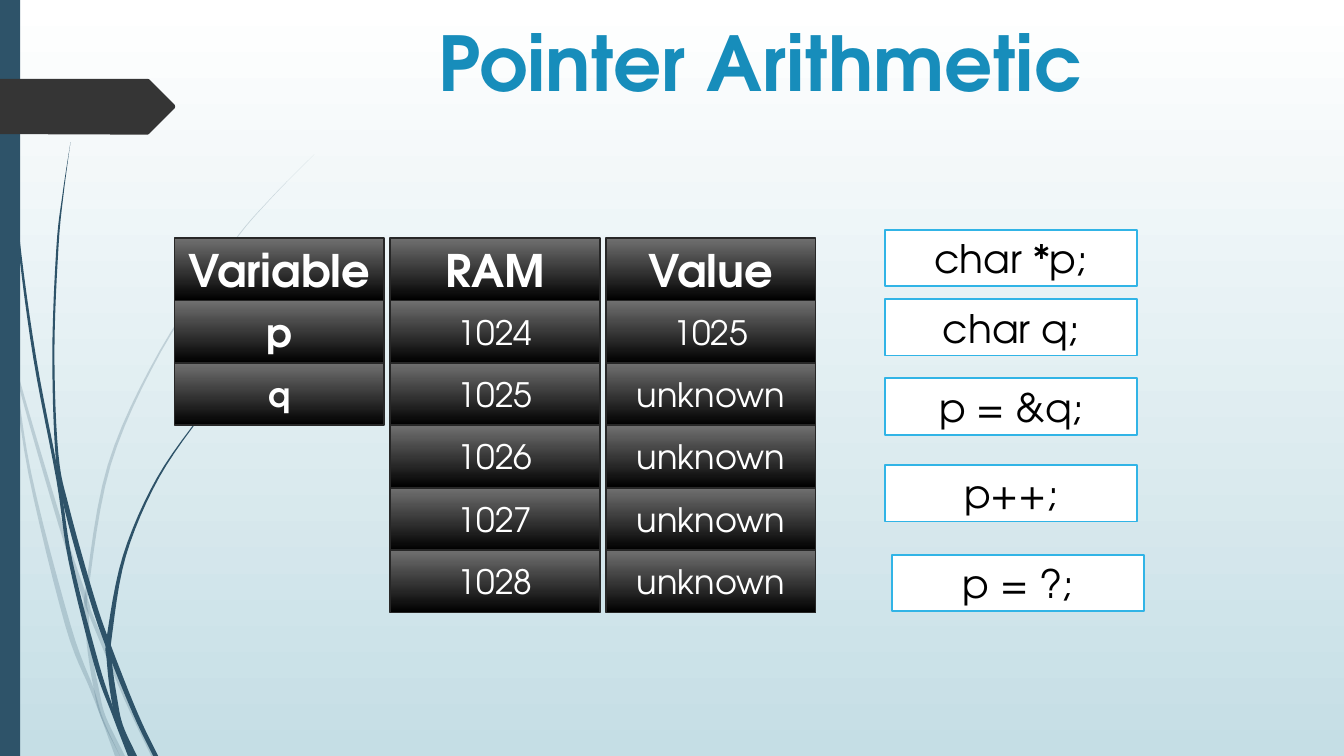
from pptx import Presentation
from pptx.dml.color import RGBColor
from pptx.enum.shapes import MSO_SHAPE as Preset
from pptx.enum.text import MSO_ANCHOR as Anchor, PP_ALIGN as Align
from pptx.oxml.xmlchemy import OxmlElement
from pptx.util import Pt

FONT = "TeX Gyre Adventor"
COLORS = {
    "white": "FFFFFF", "mist": "C5DEE5", "navy": "2E5369", "arrow": "353535",
    "title": "178DBB", "cell_top": "707070", "black": "000000",
    "cell_line": "272727", "code_line": "31B4E6",
}
# y, left x, right x
PALE_STRANDS = [
    [(203, 0, 0), (215, 0, 3.2), (232, 4.3, 6.5), (252, 7.9, 9.4),
     (338, 20.2, 22.3), (446.5, 46.5, 50.4), (492, 64.2, 67),
     (514, 72.7, 73.8), (540, 82.1, 85.7)],
    [(248.4, 10, 10), (271, 12.2, 14), (375, 41.8, 44.9), (430, 60.1, 63.4),
     (439, 63.4, 66.2), (499, 88.6, 91.8), (540, 108, 111.6)],
    [(110.2, 224.6, 224.6), (142, 193, 193.5), (176, 164.2, 165),
     (251, 113.8, 115.2), (332, 77, 79.2), (420, 61.2, 63.4),
     (439, 60.5, 63.4), (465, 62.6, 65.5), (492, 67, 70.6),
     (512, 72, 75.6), (540, 85.7, 89.3)],
]
DARK_STRANDS = [
    [(0, 2.2, 2.9), (35, 2.9, 3.6), (79, 5, 5.8), (168, 12.2, 13.7),
     (256, 23.8, 25.9), (343, 40.3, 42.6), (401, 49, 51.8),
     (474, 67, 70.6), (510, 79.9, 82.5), (540, 91.4, 94.3)],
    [(101.5, 50.4, 50.4), (139, 44.6, 45.4), (176.4, 40.3, 41.8),
     (251, 37.4, 38.9), (324, 39.6, 41.7), (363.6, 46.1, 49.7),
     (426, 63.4, 67.2), (463, 76, 80), (510, 95, 98.6), (540, 109.4, 113)],
    [(247.7, 187.2, 187.2), (269, 166.3, 166.5), (292, 146.9, 147.6),
     (341, 112.3, 113.8), (397, 87.8, 90), (455, 76.3, 79.9),
     (472, 76.3, 79.9), (497.5, 79.2, 83.5), (518, 83.9, 87.8),
     (540, 93.6, 97.9)],
]


def rgb(name):
    return RGBColor.from_string(COLORS[name])


def fill_solid(shape, color, alpha=100):
    shape.shadow.inherit = False
    shape.fill.solid()
    shape.fill.fore_color.rgb = rgb(color)
    shape.line.fill.background()
    if alpha < 100:
        opacity = OxmlElement("a:alpha")
        opacity.set("val", str(alpha * 1000))
        shape.fill._xPr.find(".//{*}srgbClr").append(opacity)


def fill_gradient(fill, top_color, bottom_color):
    fill.gradient()
    fill.gradient_angle = 270
    for stop, color, position in zip(fill.gradient_stops,
                                     (top_color, bottom_color), (0, 1)):
        stop.color.rgb = rgb(color)
        stop.position = position


def write_text(shape, text, size, color, bold=False, anchor=Anchor.MIDDLE,
               spacing=1.0):
    frame = shape.text_frame
    frame.word_wrap = True
    frame.vertical_anchor = anchor
    para = frame.paragraphs[0]
    para.alignment = Align.CENTER
    para.line_spacing = spacing
    span = para.add_run()
    span.text = text
    span.font.name = FONT
    span.font.size = Pt(size)
    span.font.bold = bold
    span.font.color.rgb = rgb(color)


def add_box(page, left, top, width, height):
    return page.shapes.add_shape(Preset.RECTANGLE, Pt(left), Pt(top),
                                 Pt(width), Pt(height))


def outline_box(box, color):
    box.shadow.inherit = False
    box.line.color.rgb = rgb(color)
    box.line.width = Pt(1.25)


def add_outline(page, points):
    corners = [(round(x * 100), round(y * 100)) for x, y in points]
    builder = page.shapes.build_freeform(*corners[0], scale=Pt(1) / 100)
    builder.add_line_segments(corners[1:], close=True)
    return builder.convert_to_shape()


def smooth_rows(rows, steps=6):
    padded = [rows[0], *rows, rows[-1]]
    result = []
    for a, b, c, d in zip(padded, padded[1:], padded[2:], padded[3:]):
        for step in range(steps):
            t = step / steps
            result.append(tuple(
                (2 * q + (r - p) * t + (2 * p - 5 * q + 4 * r - s) * t ** 2
                 + (3 * q - p - 3 * r + s) * t ** 3) / 2
                for p, q, r, s in zip(a, b, c, d)))
    return result + [rows[-1]]


def add_strands(page, strands, alpha):
    for strand in strands:
        rows = smooth_rows(strand)
        left_edge = [(left, y) for y, left, right in rows]
        right_edge = [(right, y) for y, left, right in reversed(rows)]
        fill_solid(add_outline(page, left_edge + right_edge), "navy", alpha)


def add_backdrop(page, height):
    fill_gradient(page.background.fill, "white", "mist")
    add_strands(page, PALE_STRANDS, 20)
    add_strands(page, DARK_STRANDS, 100)
    fill_solid(add_box(page, 0, 0, 14.4, height), "navy")
    arrow = add_outline(page, [(0, 56.3), (105.5, 56.3), (106.6, 56.8),
                               (124.8, 75), (125.1, 76.2), (124.8, 77.4),
                               (106.6, 95.6), (105.5, 96.2), (0, 95.8)])
    fill_solid(arrow, "arrow")


def add_title(page, left, top, width, height):
    title = page.shapes.add_textbox(Pt(left), Pt(top), Pt(width), Pt(height))
    write_text(title, "Pointer Arithmetic", 54, "title", bold=True,
               anchor=Anchor.TOP, spacing=0.92)


def add_memory_columns(page, left, top, width, row_height, gap):
    columns = [
        ("Variable", [("p", 28), ("q", 24)], True),
        ("RAM", [(str(address), 24) for address in range(1024, 1029)], False),
        ("Value", [("1025", 24)] + [("unknown", 24)] * 4, False),
    ]
    for index, (heading, entries, bold) in enumerate(columns):
        for row, (text, size) in enumerate([(heading, 32), *entries]):
            cell = add_box(page, left + index * (width + gap),
                           top + row * row_height, width, row_height)
            fill_gradient(cell.fill, "cell_top", "black")
            outline_box(cell, "cell_line")
            write_text(cell, text, size, "white", bold=bold or row == 0)


def add_code_steps(page, left, top, width, height):
    steps = [("char *p;", 0, 0), ("char q;", 0, 49.5), ("p = &q;", 0, 106),
             ("p++;", 0, 168), ("p = ?;", 5, 232)]
    for code, shift, drop in steps:
        box = add_box(page, left + shift, top + drop, width, height)
        fill_solid(box, "white")
        outline_box(box, "code_line")
        write_text(box, code, 28, "black")


def main():
    deck = Presentation()
    deck.slide_width, deck.slide_height = Pt(960), Pt(540)
    page = deck.slides.add_slide(deck.slide_layouts[6])
    add_backdrop(page, 540)
    add_title(page, 141.8, 14.4, 802.8, 85)
    add_memory_columns(page, 124.6, 170, 149.8, 44.6, 4.3)
    add_code_steps(page, 632.2, 164.2, 180, 40.3)
    deck.save("out.pptx")


if __name__ == "__main__":
    main()
